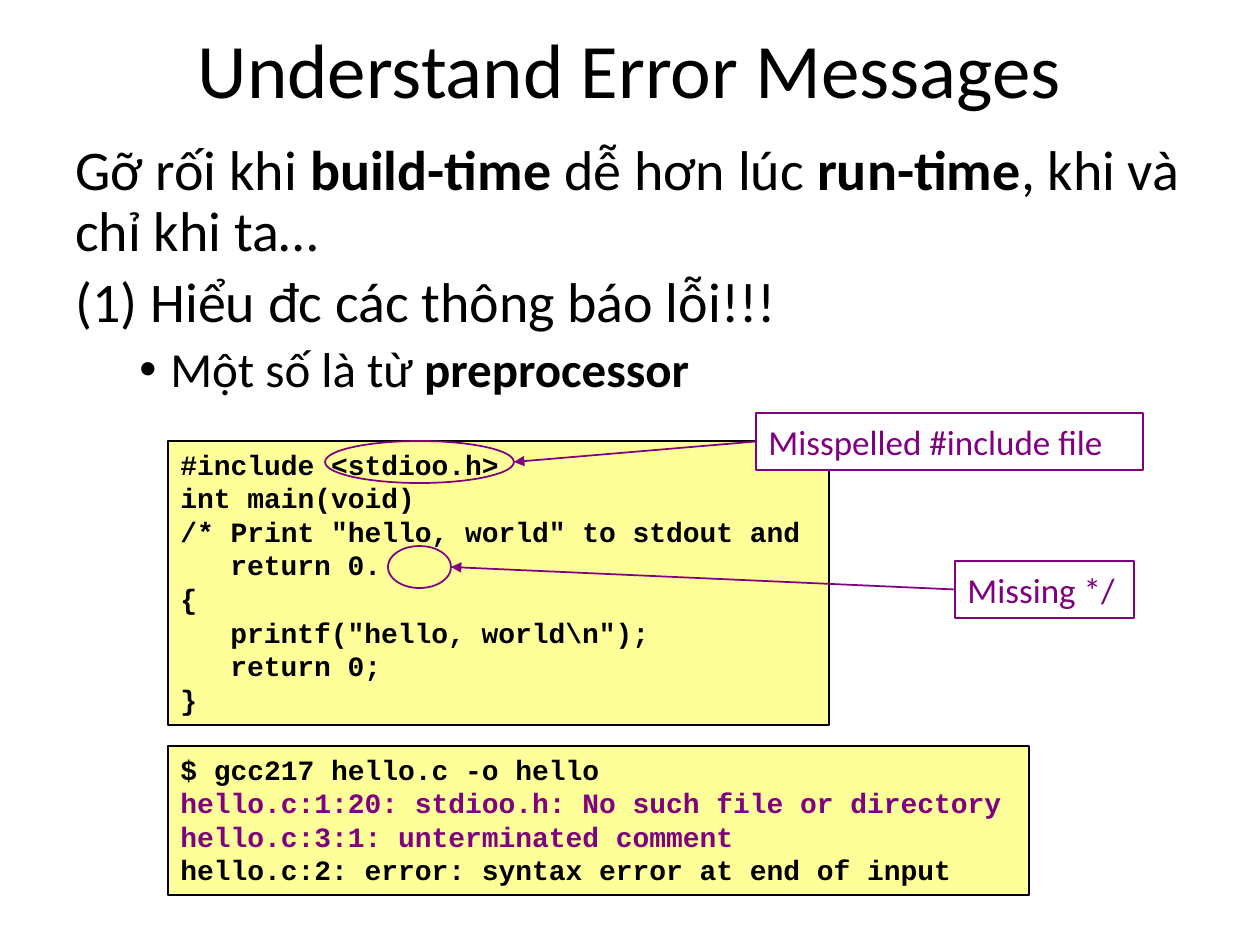
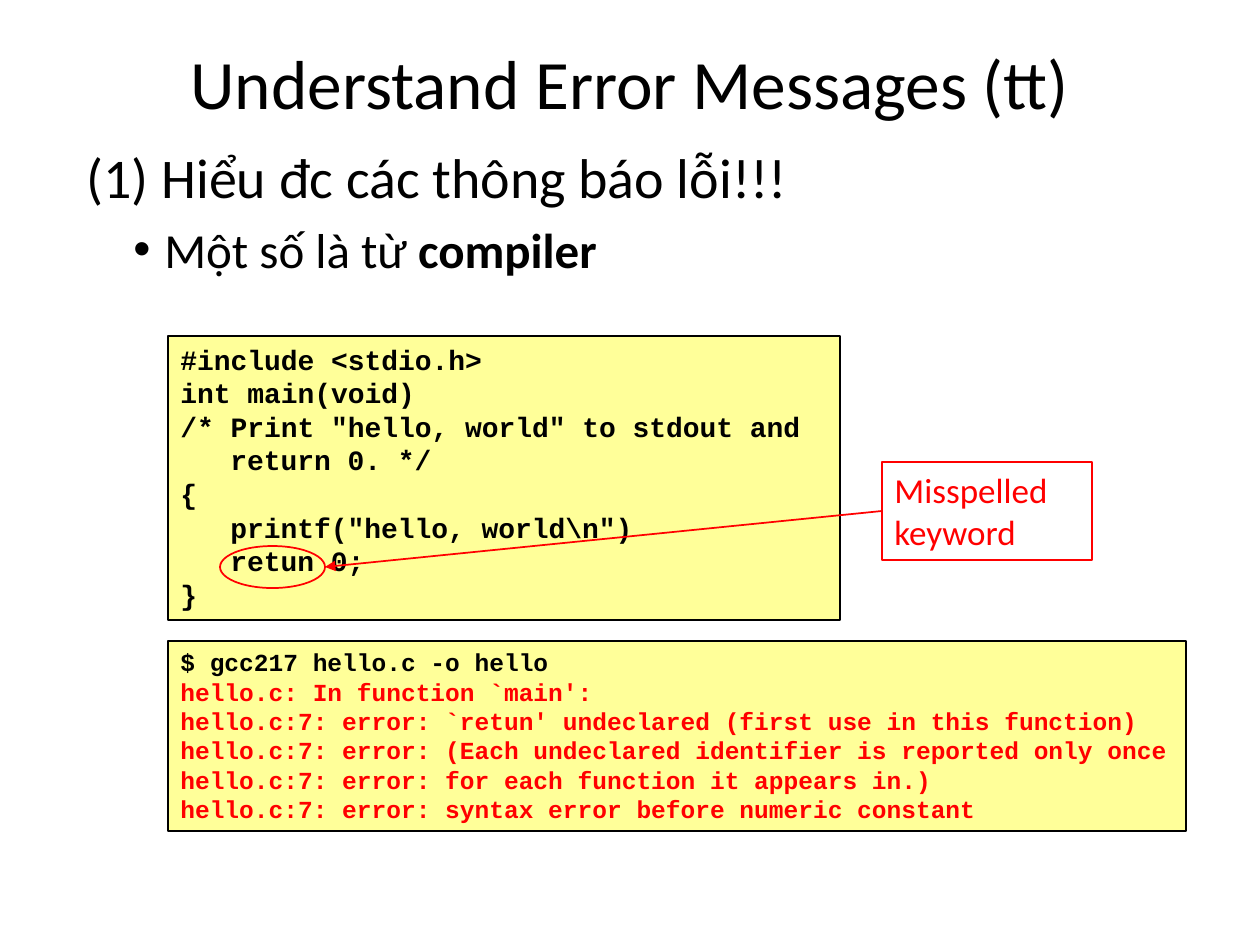
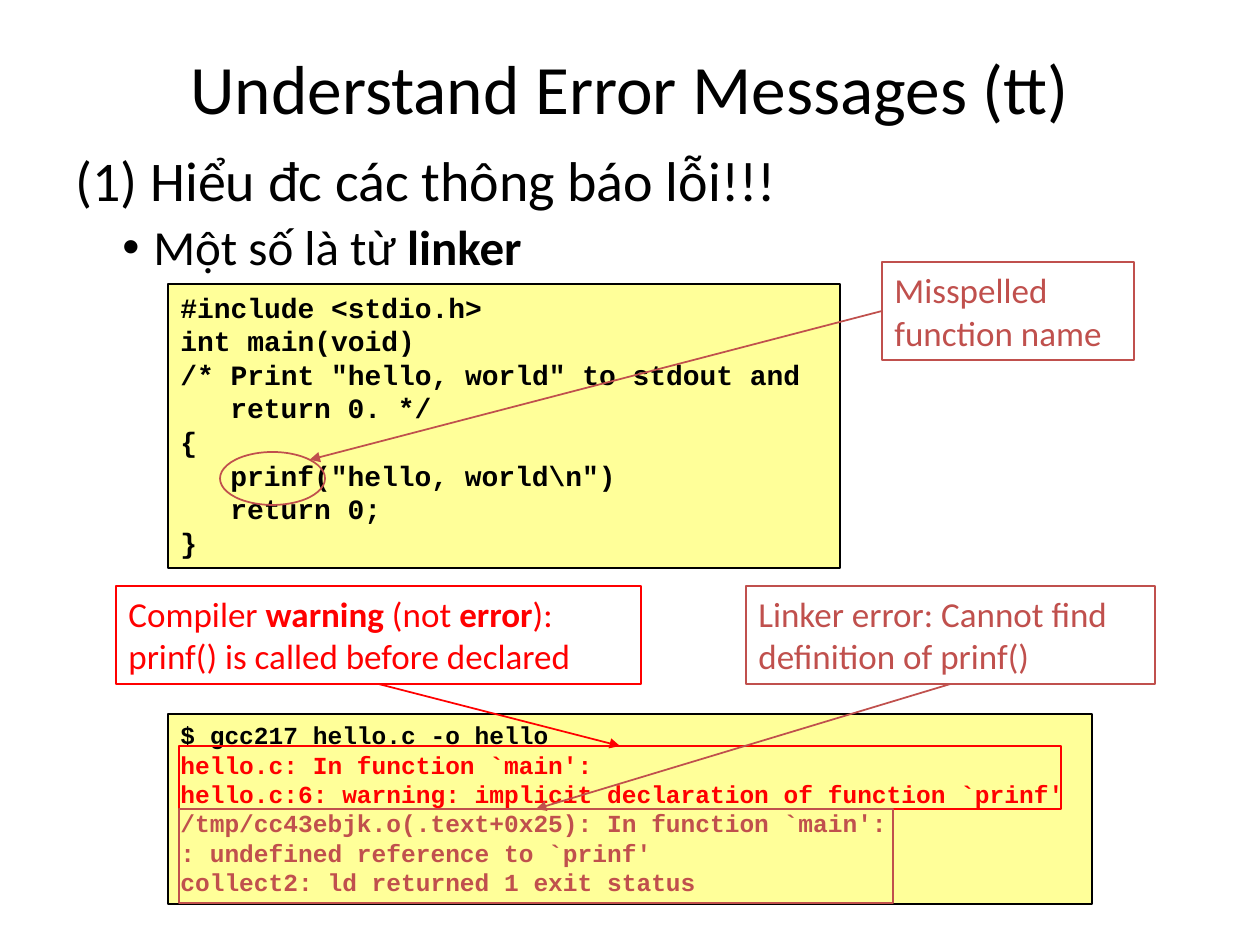
from math import cos, radians, sin

from lxml import etree
from pptx import Presentation
from pptx.dml.color import RGBColor
from pptx.enum.shapes import MSO_CONNECTOR, MSO_SHAPE
from pptx.enum.text import MSO_ANCHOR, PP_ALIGN
from pptx.oxml.ns import qn
from pptx.util import Emu, Pt

PX = 914400 / 126
RECTANGLE, OVAL = MSO_SHAPE.RECTANGLE, MSO_SHAPE.OVAL
STRAIGHT = MSO_CONNECTOR.STRAIGHT
TOP, MIDDLE = MSO_ANCHOR.TOP, MSO_ANCHOR.MIDDLE
LEFT, CENTER = PP_ALIGN.LEFT, PP_ALIGN.CENTER
TOP_SIDE, LEFT_SIDE, BOTTOM_SIDE = 0, 1, 2

BLACK = RGBColor(0x00, 0x00, 0x00)
WHITE = RGBColor(0xFF, 0xFF, 0xFF)
YELLOW = RGBColor(0xFF, 0xFF, 0x99)
PURPLE = RGBColor(0x80, 0x00, 0x80)
RED = RGBColor(0xFF, 0x00, 0x00)
BRICK = RGBColor(0xC0, 0x50, 0x4D)

TITLE = {"name": "Calibri", "size": Pt(44)}
SMALL_TITLE = {"name": "Calibri", "size": Pt(39.6)}
POINT = {"name": "Calibri", "size": Pt(32)}
SUBPOINT = {"name": "Calibri", "size": Pt(28)}
CALLOUT = {"name": "Calibri", "size": Pt(20)}
CODE = {"name": "Courier New", "size": Pt(16), "bold": True}
SMALL_CODE = {"name": "Courier New", "size": Pt(14), "bold": True}

CODE_INDENT = 50
BULLET_HANG = 31
HEADING = "(1) Hiểu đc các thông báo lỗi!!!"
COMMAND = "$ gcc217 hello.c -o hello"


def px(*lengths):
    return [Emu(round(length * PX)) for length in lengths]


def within(box, offset):
    return (box[0] + offset[0], box[1] + offset[1], *offset[2:])


def apply(target, values):
    for key, value in values.items():
        setattr(target, key, value)


def write(paragraph, pieces, font, color, **layout):
    apply(paragraph, {"alignment": LEFT, **layout})
    for index, piece in enumerate(pieces):
        if piece:
            run = paragraph.add_run()
            run.text = piece
            apply(run.font, {"bold": index % 2 == 1, **font})
            run.font.color.rgb = color


def paragraphs(frame, count):
    return [frame.paragraphs[0]] + [frame.add_paragraph() for _ in range(count - 1)]


def indent(paragraph, margin, hang=0):
    properties = paragraph._p.get_or_add_pPr()
    for key, length in zip(("marL", "indent"), px(margin, -hang)):
        properties.set(key, str(length))
    return properties


def text_area(slide, box, anchor):
    frame = slide.shapes.add_textbox(*px(*box)).text_frame
    apply(frame, {"word_wrap": True, "vertical_anchor": anchor})
    return frame


def outline(slide, kind, box, color, fill=None):
    shape = slide.shapes.add_shape(kind, *px(*box))
    shape.shadow.inherit = False
    if fill is None:
        shape.fill.background()
    else:
        shape.fill.solid()
        shape.fill.fore_color.rgb = fill
    shape.line.color.rgb = color
    shape.line.width = Pt(1)
    return shape


def title(slide, box, text, font=SMALL_TITLE):
    frame = text_area(slide, box, MIDDLE)
    write(frame.paragraphs[0], [text], font, BLACK, alignment=CENTER)


def body(slide, box, points, stage, margin, spacing):
    lines = paragraphs(text_area(slide, box, TOP), len(points) + 1)
    for line, pieces in zip(lines, points):
        write(line, pieces, POINT, BLACK, line_spacing=spacing, space_before=Pt(6.4))
    write(lines[-1], ["Một số là từ ", stage], SUBPOINT, BLACK,
          line_spacing=spacing, space_before=Pt(5.6))
    bullet = indent(lines[-1], margin, BULLET_HANG)
    etree.SubElement(bullet, qn("a:buFont")).set("typeface", "Arial")
    etree.SubElement(bullet, qn("a:buChar")).set("char", "•")


def panel(slide, box, lines, font=CODE):
    frame = outline(slide, RECTANGLE, box, BLACK, YELLOW).text_frame
    apply(frame, {"word_wrap": True, "vertical_anchor": TOP})
    for paragraph, (text, color, depth) in zip(paragraphs(frame, len(lines)), lines):
        write(paragraph, [text], font, color)
        indent(paragraph, depth * CODE_INDENT)


def program(slide, box, include, comment_end, call, result):
    source = [
        (f"#include <{include}>", 0), ("int main(void)", 0),
        ('/* Print "hello, world" to stdout and', 0), (comment_end, 1),
        ("{", 0), (call, 1), (result, 1), ("}", 0),
    ]
    panel(slide, box, [(text, BLACK, depth) for text, depth in source])


def messages(slide, box, lines, font=SMALL_CODE):
    panel(slide, box, [(text, color, 0) for text, color in [(COMMAND, BLACK), *lines]], font)


def callout(slide, box, pieces, color):
    note = outline(slide, RECTANGLE, box, color, WHITE)
    apply(note.text_frame, {"word_wrap": True, "vertical_anchor": MIDDLE})
    write(note.text_frame.paragraphs[0], pieces, CALLOUT, color)
    return note


def arrow(slide, note, side, target, color):
    link = slide.shapes.add_connector(STRAIGHT, 0, 0, *px(*target))
    link.begin_connect(note, side)
    link.line.color.rgb = color
    link.line.width = Pt(1)
    properties = link._element.spPr
    etree.SubElement(properties.find(qn("a:ln")), qn("a:tailEnd")).set("type", "triangle")
    etree.SubElement(properties, qn("a:effectLst"))
    return link


def mistake(slide, code_box, spot, note_box, text, color, angle=0):
    note = callout(slide, note_box, [text], color)
    left, top, width, height = circle = within(code_box, spot)
    outline(slide, OVAL, circle, color)
    turn = radians(angle)
    target = (left + width / 2 * (1 + cos(turn)), top + height / 2 * (1 - sin(turn)))
    arrow(slide, note, LEFT_SIDE, target, color)


def explanation(slide, message_box, rows, note_box, pieces, color):
    note = callout(slide, note_box, pieces, color)
    left, top, width, _ = frame_box = within(message_box, rows)
    frame = outline(slide, RECTANGLE, frame_box, color)
    link = arrow(slide, note, BOTTOM_SIDE, (left + width / 2, top), color)
    link.end_connect(frame, TOP_SIDE)


def preprocessor_slide(slide):
    title(slide, (63, 0, 1134, 136), "Understand Error Messages", TITLE)
    intro = ["Gỡ rối khi ", "build-time", " dễ hơn lúc ", "run-time", ", khi và chỉ khi ta…"]
    body(slide, (63, 136, 1134, 284), [intro, [HEADING]], "preprocessor", 95, 0.9)
    code_box = (168, 441, 661, 284)
    program(slide, code_box, "stdioo.h", "return 0.",
            'printf("hello, world\\n");', "return 0;")
    messages(slide, (168, 746, 861, 149), [
        ("hello.c:1:20: stdioo.h: No such file or directory", PURPLE),
        ("hello.c:3:1: unterminated comment", PURPLE),
        ("hello.c:2: error: syntax error at end of input", BLACK),
    ], CODE)
    mistake(slide, code_box, (157, 0, 189, 42), (756, 413, 387, 57),
            "Misspelled #include file", PURPLE)
    mistake(slide, code_box, (220, 105, 63, 42), (955, 561, 179, 57), "Missing */", PURPLE)


def compiler_slide(slide):
    title(slide, (63, 38, 1134, 88), "Understand Error Messages (tt)")
    body(slide, (74, 136, 1134, 158), [[HEADING]], "compiler", 78, 1.0)
    code_box = (168, 336, 672, 284)
    program(slide, code_box, "stdio.h", "return 0. */",
            'printf("hello, world\\n")', "retun 0;")
    messages(slide, (168, 641, 1018, 190), [(text, RED) for text in (
        "hello.c: In function `main':",
        "hello.c:7: error: `retun' undeclared (first use in this function)",
        "hello.c:7: error: (Each undeclared identifier is reported only once",
        "hello.c:7: error: for each function it appears in.)",
        "hello.c:7: error: syntax error before numeric constant",
    )])
    mistake(slide, code_box, (52, 210, 105, 42), (882, 462, 210, 98),
            "Misspelled keyword", RED)


def linker_slide(slide):
    title(slide, (63, 38, 1134, 98), "Understand Error Messages (tt)")
    body(slide, (63, 147, 1134, 147), [[HEADING]], "linker", 78, 0.9)
    code_box = (168, 284, 672, 284)
    program(slide, code_box, "stdio.h", "return 0. */",
            'prinf("hello, world\\n")', "return 0;")
    message_box = (168, 714, 924, 190)
    messages(slide, message_box, [
        ("hello.c: In function `main':", RED),
        ("hello.c:6: warning: implicit declaration of function `prinf'", RED),
        ("/tmp/cc43ebjk.o(.text+0x25): In function `main':", BRICK),
        (": undefined reference to `prinf'", BRICK),
        ("collect2: ld returned 1 exit status", BRICK),
    ])
    mistake(slide, code_box, (52, 168, 105, 53), (882, 262, 252, 98),
            "Misspelled function name", BRICK, 45)
    warning = ["Compiler ", "warning", " (not ", "error",
               "): prinf() is called before declared"]
    explanation(slide, message_box, (11, 32, 882, 63), (116, 586, 525, 98), warning, RED)
    explanation(slide, message_box, (11, 95, 714, 94), (746, 586, 409, 98),
                ["Linker error: Cannot find definition of prinf()"], BRICK)


def main():
    deck = Presentation()
    deck.slide_width, deck.slide_height = px(1260, 945)
    for build in (preprocessor_slide, compiler_slide, linker_slide):
        build(deck.slides.add_slide(deck.slide_layouts[6]))
    deck.save("out.pptx")


if __name__ == "__main__":
    main()
